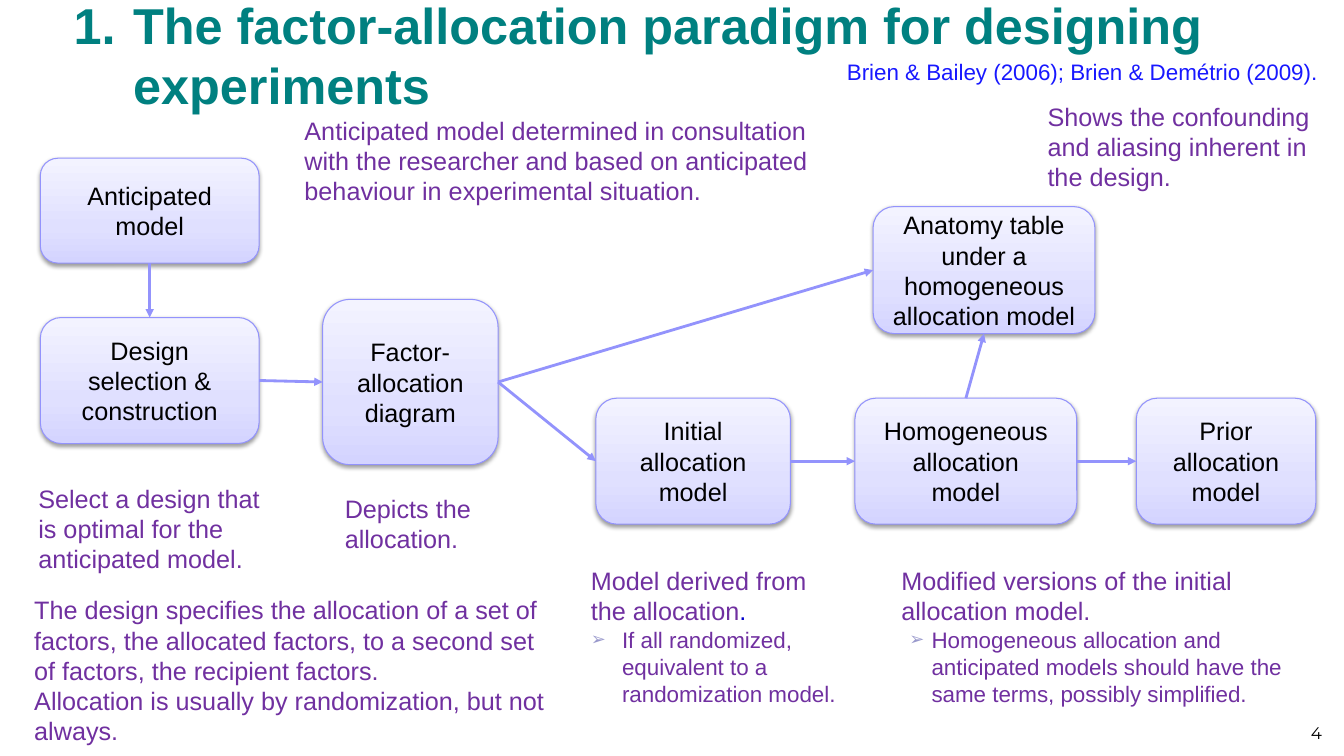
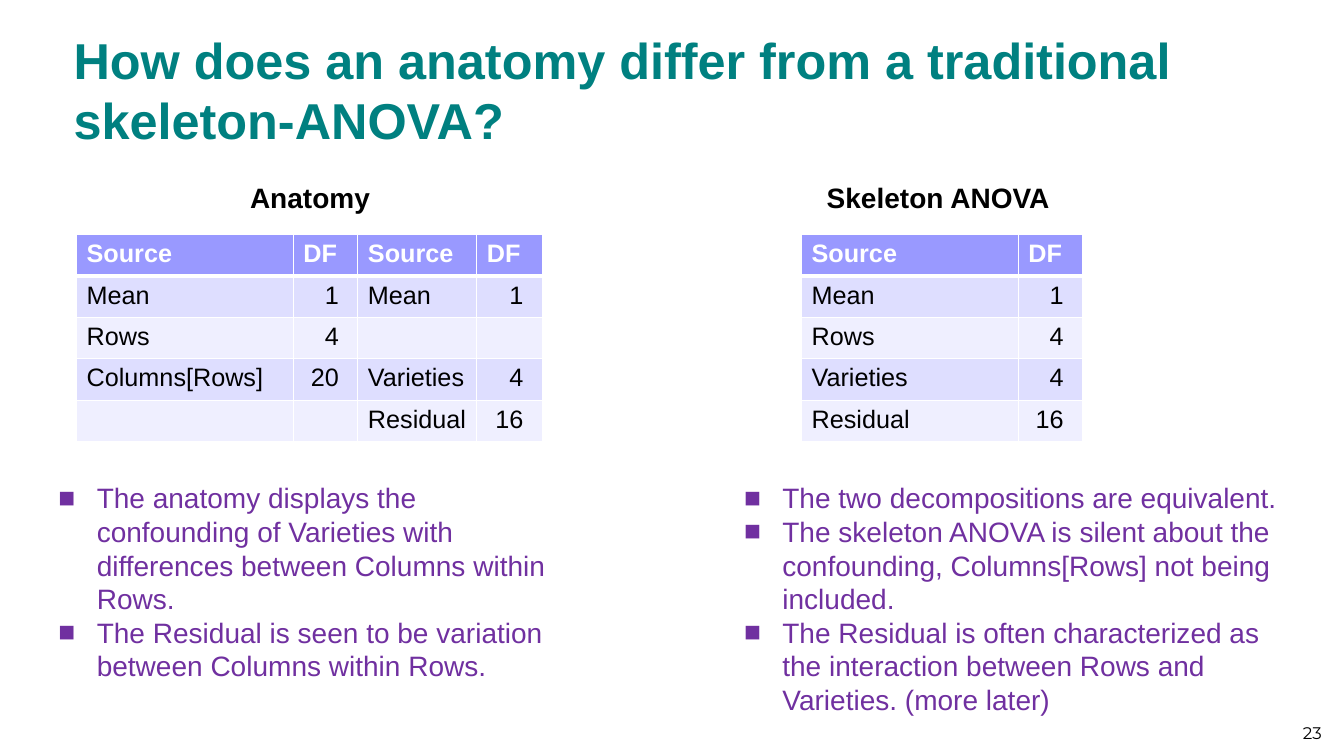
from copy import deepcopy

from lxml.etree import SubElement
from pptx import Presentation
from pptx.dml.color import RGBColor
from pptx.enum.shapes import MSO_CONNECTOR, MSO_SHAPE
from pptx.enum.text import MSO_ANCHOR, MSO_AUTO_SIZE, PP_ALIGN
from pptx.oxml.ns import qn
from pptx.util import Inches, Pt

TEAL = RGBColor(0x00, 0x80, 0x80)
PURPLE = RGBColor(0x70, 0x30, 0xA0)
BLUE = RGBColor(0x18, 0x18, 0xFF)
DARK_BLUE = RGBColor(0x00, 0x00, 0xCC)
BULLET_GREY = RGBColor(0x99, 0x99, 0xCC)
OUTLINE = RGBColor(0x93, 0x93, 0xFC)
BLACK = RGBColor(0x00, 0x00, 0x00)
WHITE = RGBColor(0xFF, 0xFF, 0xFF)
HEADER = RGBColor(0x99, 0x99, 0xFF)
BANDS = RGBColor(0xDE, 0xDE, 0xFF), RGBColor(0xEF, 0xEF, 0xFF)
BOX_STOPS = [
    (0, RGBColor(0xD4, 0xD4, 0xFF)),
    (0.35, RGBColor(0xE0, 0xE0, 0xFF)),
    (1, RGBColor(0xF3, 0xF3, 0xFF)),
]

TIGHT = (0.1, 0.05)
ROOMY = (0.13, 0.07)
TOP, LEFT, BOTTOM, RIGHT = range(4)

# Flow chart: name -> (left, top, width, height), text
ROW_TOP, BOX_HEIGHT = 3.95, 1.25
STEPS = {
    "anticipated": ((0.4, 1.57, 2.17, 1.04), "Anticipated\nmodel"),
    "design": ((0.4, 3.15, 2.17, BOX_HEIGHT), "Design selection &\nconstruction"),
    "diagram": ((3.2, 2.97, 1.74, 1.64), "Factor-allocation diagram"),
    "anatomy": ((8.66, 2.05, 2.2, 1.26),
                "Anatomy table under a\nhomogeneous allocation model"),
    "initial": ((5.91, ROW_TOP, 1.93, BOX_HEIGHT), "Initial\nallocation model"),
    "homogeneous": ((8.48, ROW_TOP, 2.2, BOX_HEIGHT),
                    "Homogeneous allocation\nmodel"),
    "prior": ((11.27, ROW_TOP, 1.78, BOX_HEIGHT), "Prior\nallocation model"),
}
ARROWS = [
    ("anticipated", BOTTOM, "design", TOP),
    ("design", RIGHT, "diagram", LEFT),
    ("diagram", RIGHT, "anatomy", LEFT),
    ("diagram", RIGHT, "initial", LEFT),
    ("initial", RIGHT, "homogeneous", LEFT),
    ("homogeneous", RIGHT, "prior", LEFT),
    ("homogeneous", TOP, "anatomy", BOTTOM),
]
REMARKS = [
    ((2.89, 1.07, 5.27, 0.97),
     "Anticipated model determined in consultation with the researcher and "
     "based on anticipated behaviour in experimental situation."),
    ((0.25, 4.72, 2.48, 1.18),
     "Select a design that is optimal for the anticipated model."),
    ((0.21, 5.83, 5.43, 1.58),
     "The design specifies the allocation of a set of factors, the allocated "
     "factors, to a second set of factors, the recipient factors.\n"
     "Allocation is usually by randomization, but not always."),
    ((3.29, 4.82, 1.56, 0.75), "Depicts the allocation."),
    ((10.26, 0.93, 3.07, 1.11),
     "Shows the confounding and aliasing inherent in the design."),
]
# Box, lead, end mark with its colour, sub-point, indent, hanging
MODEL_REMARKS = [
    ((5.73, 5.54, 2.75, 1.58), "Model derived from the allocation", DARK_BLUE,
     "If all randomized, equivalent to a randomization model.", 0.31, 0.31),
    ((8.81, 5.54, 4.34, 1.58),
     "Modified versions of the initial allocation model", PURPLE,
     "Homogeneous allocation and anticipated models should have the same "
     "terms, possibly simplified.", 0.3, 0.22),
]

ROW_HEIGHT = 0.41
COMPARISON = [
    {
        "heading": ("Anatomy", 1.52),
        "table_left": 0.76,
        "columns": [2.15, 0.64, 1.18, 0.65],
        "rows": [
            ("Source", "DF", "Source", "DF"),
            ("Mean", "1", "Mean", "1"),
            ("Rows", "4", "", ""),
            ("Columns[Rows]", "20", "Varieties", "4"),
            ("", "", "Residual", "16"),
        ],
        "points_box": (0.48, 4.72, 5.33, 2.12),
        "points":
            "The anatomy displays the confounding of Varieties with "
            "differences between Columns within Rows.\n"
            "The Residual is seen to be variation between Columns within Rows.",
    },
    {
        "heading": ("Skeleton ANOVA", 7.75),
        "table_left": 7.95,
        "columns": [2.15, 0.64],
        "rows": [
            ("Source", "DF"),
            ("Mean", "1"),
            ("Rows", "4"),
            ("Varieties", "4"),
            ("Residual", "16"),
        ],
        "points_box": (7.28, 4.72, 5.62, 2.46),
        "points":
            "The two decompositions are equivalent.\n"
            "The skeleton ANOVA is silent about the confounding, "
            "Columns[Rows] not being included.\n"
            "The Residual is often characterized as the interaction between "
            "Rows and Varieties. (more later)",
    },
]


def inches(values):
    return [Inches(value) for value in values]


def add_run(paragraph, text, size, color, bold=False, font="Arial"):
    run = paragraph.add_run()
    run.text = text
    run.font.size, run.font.bold, run.font.name = Pt(size), bold, font
    run.font.color.rgb = color


def write(frame, text, size=18, color=PURPLE, bold=False, font="Arial",
          align=PP_ALIGN.LEFT, indent=0, hang=0, bullet=None,
          bullet_color=None, bullet_size=100):
    """Append one paragraph per line of text and return the last one."""
    for line in text.split("\n"):
        paragraph = frame.add_paragraph() if frame.text else frame.paragraphs[0]
        paragraph.alignment = align
        paragraph.space_before = Pt(0)
        properties = paragraph._p.get_or_add_pPr()
        properties.set("marL", str(Inches(indent)))
        properties.set("indent", str(-Inches(hang)))
        if bullet:
            if bullet_color:
                tint = SubElement(properties, qn("a:buClr"))
                SubElement(tint, qn("a:srgbClr"), val=str(bullet_color))
            SubElement(properties, qn("a:buSzPct"), val=str(bullet_size * 1000))
            SubElement(properties, qn("a:buFont"), typeface="Arial")
            SubElement(properties, qn("a:buChar"), char=bullet)
        add_run(paragraph, line, size, color, bold, font)
    return paragraph


def set_frame(shape, insets=TIGHT, anchor=MSO_ANCHOR.TOP):
    frame = shape.text_frame
    frame.word_wrap = True
    frame.auto_size = MSO_AUTO_SIZE.NONE
    frame.vertical_anchor = anchor
    frame.margin_left = frame.margin_right = Inches(insets[0])
    frame.margin_top = frame.margin_bottom = Inches(insets[1])
    return frame


def add_frame(slide, box, **options):
    return set_frame(slide.shapes.add_textbox(*inches(box)), **options)


def fill_placeholder(shape, box, text, anchor=MSO_ANCHOR.TOP, **style):
    shape.left, shape.top, shape.width, shape.height = inches(box)
    write(set_frame(shape, anchor=anchor), text, **style)


def add_slide(deck, layout, title, number, title_top, title_height, hang=0):
    """Add a slide with the shared title style and page number."""
    slide = deck.slides.add_slide(deck.slide_layouts[layout])
    fill_placeholder(slide.shapes.title, (0.63, title_top, 12.6, title_height),
                     title, MSO_ANCHOR.MIDDLE, size=36, color=TEAL, bold=True,
                     indent=hang, hang=hang)
    footer = add_frame(slide, (10.1, 6.92, 3.11, 0.5), anchor=MSO_ANCHOR.BOTTOM)
    write(footer, number, size=12, color=BLACK, font="Montserrat",
          align=PP_ALIGN.RIGHT)
    return slide


def add_step(slide, box, text):
    step = slide.shapes.add_shape(MSO_SHAPE.ROUNDED_RECTANGLE, *inches(box))
    step.fill.gradient()
    step.fill.gradient_angle = 90
    stop_list = step._element.spPr.find(".//" + qn("a:gsLst"))
    stop_list.append(deepcopy(stop_list[0]))
    for stop, (position, color) in zip(step.fill.gradient_stops, BOX_STOPS):
        stop.position = position
        stop.color.rgb = color
    step.line.color.rgb = OUTLINE
    step.line.width = Pt(0.75)
    step.shadow.inherit = False
    effects = step._element.spPr.find(qn("a:effectLst"))
    shadow = SubElement(effects, qn("a:outerShdw"), blurRad=str(Pt(3.1)),
                        dist=str(Pt(1.6)), dir="5400000", rotWithShape="0")
    shade = SubElement(shadow, qn("a:srgbClr"), val=str(BLACK))
    SubElement(shade, qn("a:alpha"), val="38000")
    write(set_frame(step, ROOMY, MSO_ANCHOR.MIDDLE), text, color=BLACK,
          align=PP_ALIGN.CENTER)
    return step


def add_arrow(slide, start, start_side, end, end_side):
    arrow = slide.shapes.add_connector(MSO_CONNECTOR.STRAIGHT, 0, 0, 0, 0)
    arrow.begin_connect(start, start_side)
    arrow.end_connect(end, end_side)
    arrow.line.color.rgb = OUTLINE
    arrow.line.width = Pt(2)
    SubElement(arrow.line._get_or_add_ln(), qn("a:tailEnd"), type="triangle")
    SubElement(arrow._element.spPr, qn("a:effectLst"))


def add_borders(cell, row):
    widths = {"L": 1, "R": 1, "T": 3 if row == 1 else 1, "B": 1 if row else 3}
    for side, width in widths.items():
        border = SubElement(cell._tc.get_or_add_tcPr(), qn(f"a:ln{side}"),
                            w=str(Pt(width)))
        paint = SubElement(border, qn("a:solidFill"))
        SubElement(paint, qn("a:srgbClr"), val=str(WHITE))


def add_df_table(slide, left, columns, rows):
    table = slide.shapes.add_table(
        len(rows), len(columns),
        *inches((left, 2.33, sum(columns), ROW_HEIGHT * len(rows)))).table
    for column, width in zip(table.columns, columns):
        column.width = Inches(width)
    for r, row in enumerate(rows):
        table.rows[r].height = Inches(ROW_HEIGHT)
        for c, text in enumerate(row):
            cell = table.cell(r, c)
            add_borders(cell, r)
            cell.fill.solid()
            cell.fill.fore_color.rgb = BANDS[(r - 1) % 2] if r else HEADER
            is_number = text.isdigit()
            cell.margin_right = Inches(0.19 if is_number else 0.05)
            if text:
                write(cell.text_frame, text, color=BLACK if r else WHITE,
                      bold=r == 0,
                      align=PP_ALIGN.RIGHT if is_number else PP_ALIGN.LEFT)


def build_paradigm(deck):
    slide = add_slide(
        deck, 5, "1.\tThe factor-allocation paradigm for designing experiments",
        "4", 0.06, 0.96, hang=0.59)
    steps = {name: add_step(slide, *step) for name, step in STEPS.items()}
    for start, start_side, end, end_side in ARROWS:
        add_arrow(slide, steps[start], start_side, steps[end], end_side)
    for box, text in REMARKS:
        write(add_frame(slide, box, insets=ROOMY), text)
    for box, lead, mark_color, point, indent, hang in MODEL_REMARKS:
        frame = add_frame(slide, box, insets=ROOMY)
        add_run(write(frame, lead), ".", 18, mark_color)
        write(frame, point, size=16, indent=indent, hang=hang, bullet="➢",
              bullet_color=BULLET_GREY, bullet_size=80)
    write(add_frame(slide, (8.27, 0.51, 5.06, 0.5), insets=ROOMY),
          "Brien & Bailey (2006); Brien & Demétrio (2009).", size=16, color=BLUE)


def build_comparison(deck):
    slide = add_slide(
        deck, 3, "How does an anatomy differ from a traditional skeleton-ANOVA?",
        "23", 0.23, 1.31)
    for index, side in enumerate(COMPARISON, start=1):
        heading, left = side["heading"]
        write(add_frame(slide, (left, 1.74, 3.11, 0.44)), heading, size=20,
              color=BLACK, bold=True, align=PP_ALIGN.CENTER)
        add_df_table(slide, side["table_left"], side["columns"], side["rows"])
        fill_placeholder(slide.placeholders[index], side["points_box"],
                         side["points"], size=20, indent=0.38, hang=0.38,
                         bullet="■")


def main():
    deck = Presentation()
    deck.slide_width, deck.slide_height = inches((13.33, 7.5))
    build_paradigm(deck)
    build_comparison(deck)
    deck.save("out.pptx")


if __name__ == "__main__":
    main()
